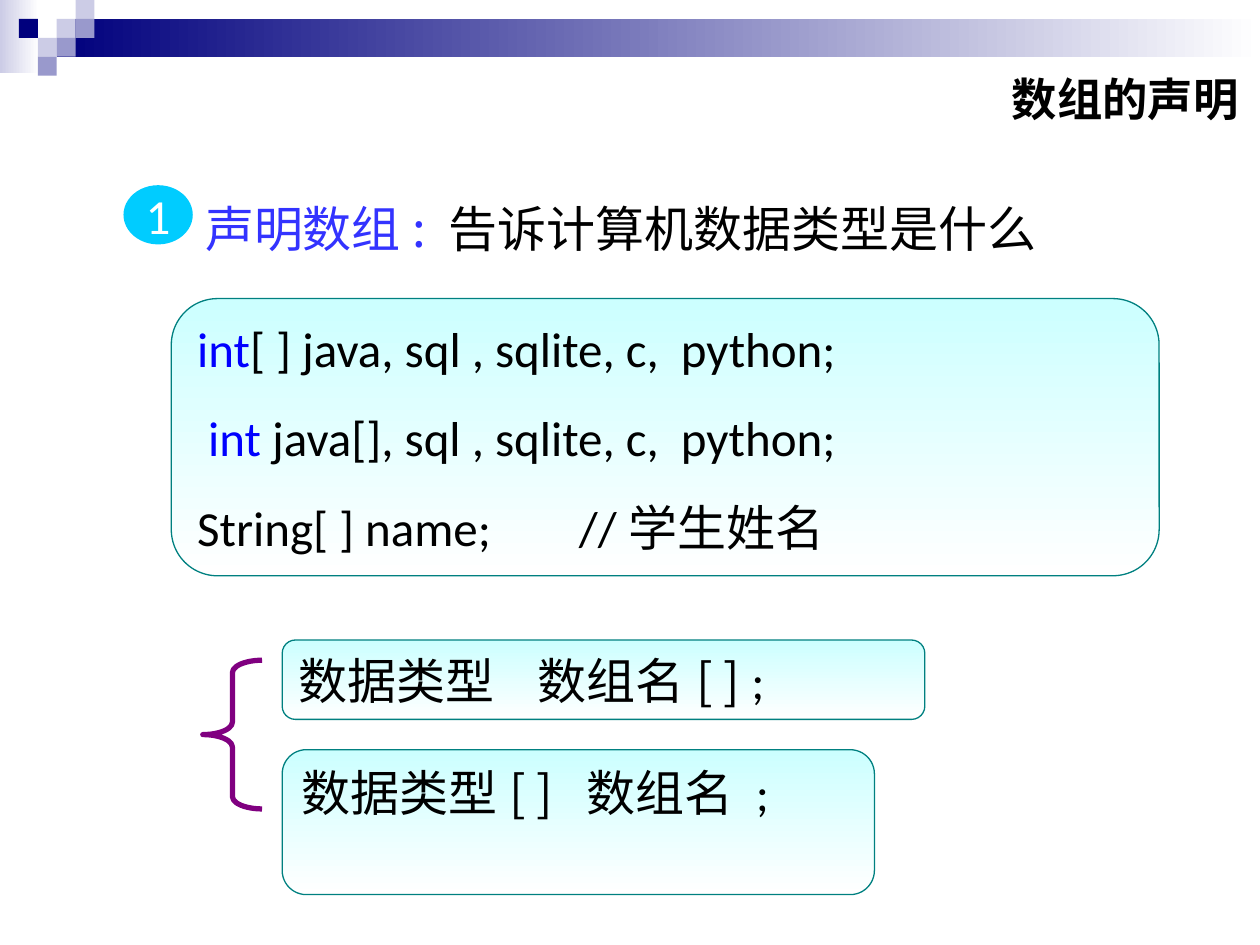
from lxml import etree
from pptx import Presentation
from pptx.dml.color import RGBColor
from pptx.enum.shapes import MSO_SHAPE
from pptx.enum.text import MSO_ANCHOR, MSO_AUTO_SIZE, PP_ALIGN
from pptx.oxml.ns import qn
from pptx.util import Inches, Pt

RECTANGLE = MSO_SHAPE.RECTANGLE
ROUNDED = MSO_SHAPE.ROUNDED_RECTANGLE
OVAL = MSO_SHAPE.OVAL
LEFT_BRACE = MSO_SHAPE.LEFT_BRACE
TOP, MIDDLE = MSO_ANCHOR.TOP, MSO_ANCHOR.MIDDLE
LEFT, CENTER, RIGHT = PP_ALIGN.LEFT, PP_ALIGN.CENTER, PP_ALIGN.RIGHT
JUSTIFY = PP_ALIGN.JUSTIFY
NO_AUTOFIT = MSO_AUTO_SIZE.NONE

LATIN = "Calibri"
CHINESE = "Noto Sans CJK SC"
COLORS = {
    "navy": "00007D", "lavender": "CCCCE6", "violet": "9999CC",
    "white": "FFFFFF", "black": "000000", "ice": "CCFFFF",
    "teal": "008080", "sky": "00CCFF", "purple": "800080",
    "keyword": "0000FF", "term": "3333FF",
}


def color(name):
    return RGBColor.from_string(COLORS[name])


def write_text(shape, paragraphs, size=28, bold=False, align=LEFT, anchor=TOP,
               space_before=0, line_spacing=None, hanging=0, tab=None, wrap=True):
    """Fill a shape with paragraphs, each a list of (text, font, color) runs."""
    frame = shape.text_frame
    frame.word_wrap = wrap
    frame.auto_size = NO_AUTOFIT
    frame.vertical_anchor = anchor
    for index, runs in enumerate(paragraphs):
        paragraph = frame.add_paragraph() if index else frame.paragraphs[0]
        paragraph.alignment = align
        paragraph.space_before = Pt(space_before if index else 0)
        if line_spacing:
            paragraph.line_spacing = line_spacing
        properties = paragraph._p.get_or_add_pPr()
        if hanging:
            properties.set("marL", str(Inches(hanging)))
            properties.set("indent", str(-Inches(hanging)))
        if tab:
            tabs = etree.SubElement(properties, qn("a:tabLst"))
            etree.SubElement(tabs, qn("a:tab"), pos=str(Inches(tab)), algn="l")
        for text, font_name, font_color in runs:
            run = paragraph.add_run()
            run.text = text
            run.font.name = font_name
            run.font.size = Pt(size)
            run.font.bold = bold
            run.font.color.rgb = color(font_color)
            etree.SubElement(run.font._element, qn("a:ea"), typeface=CHINESE)


class SlideBuilder:
    def __init__(self, slide):
        self.slide = slide

    def shape(self, kind, left, top, width, height, fill=None, line=None, line_width=0.75):
        shape = self.slide.shapes.add_shape(
            kind, Inches(left), Inches(top), Inches(width), Inches(height))
        shape.shadow.inherit = False
        if fill:
            shape.fill.solid()
            shape.fill.fore_color.rgb = color(fill)
        else:
            shape.fill.background()
        if line:
            shape.line.color.rgb = color(line)
            shape.line.width = Pt(line_width)
        else:
            shape.line.fill.background()
        return shape

    def gradient(self, kind, left, top, width, height, start, angle=0, line=None):
        """Add a shape that fades from the start color to white."""
        shape = self.shape(kind, left, top, width, height, line=line)
        shape.fill.gradient()
        shape.fill.gradient_angle = angle
        for stop, name in zip(shape.fill.gradient_stops, (start, "white")):
            stop.color.rgb = color(name)
        return shape

    def code_box(self, left, top, width, height, paragraphs, tab):
        box = self.gradient(ROUNDED, left, top, width, height, "ice", 270, "teal")
        write_text(box, paragraphs, space_before=17.5, tab=tab)

    def text_box(self, left, top, width, height, paragraphs, **text_format):
        box = self.slide.shapes.add_textbox(
            Inches(left), Inches(top), Inches(width), Inches(height))
        write_text(box, paragraphs, **text_format)

    def title(self, left, top, width, height, text):
        title = self.slide.shapes.title
        title.left, title.top = Inches(left), Inches(top)
        title.width, title.height = Inches(width), Inches(height)
        write_text(title, [[(text, CHINESE, "black")]], size=25.9, bold=True,
                   align=RIGHT, anchor=MIDDLE, line_spacing=0.9)

    def header_band(self):
        unit = 0.15
        self.gradient(RECTANGLE, 0, 0, 0.31, 0.58, "lavender")
        self.gradient(RECTANGLE, 3 * unit, unit, 9.55, 2 * unit, "navy")
        squares = [(3, 1, "lavender"), (4, 0, "lavender"), (4, 1, "violet"),
                   (2, 2, "lavender"), (1, 1, "navy"), (3, 2, "violet"), (2, 3, "violet")]
        for column, row, fill in squares:
            self.shape(RECTANGLE, column * unit, row * unit, unit, unit, fill)


def main():
    presentation = Presentation()
    presentation.slide_width, presentation.slide_height = Inches(10), Inches(7.5)
    builder = SlideBuilder(presentation.slides.add_slide(presentation.slide_layouts[5]))

    builder.header_band()
    builder.title(4.8, 0.53, 5.13, 0.55, "数组的声明")

    builder.text_box(1.53, 1.36, 7.56, 0.73,
                     [[("声明数组: ", CHINESE, "term"),
                       ("告诉计算机数据类型是什么", CHINESE, "black")]],
                     align=JUSTIFY, line_spacing=1.35, hanging=0.4)
    badge = builder.shape(OVAL, 0.98, 1.47, 0.55, 0.47, "sky")
    write_text(badge, [[("1", LATIN, "white")]], align=CENTER, anchor=MIDDLE, wrap=False)

    builder.code_box(1.36, 2.37, 7.84, 2.2, [
        [("int", LATIN, "keyword"),
         ("[ ] java, sql , sqlite, c,  python;", LATIN, "black")],
        [(" int", LATIN, "keyword"),
         (" java[], sql , sqlite, c,  python;", LATIN, "black")],
        [("String[ ] name;\t//学生姓名", LATIN, "black")],
    ], tab=3.03)

    syntax_boxes = [
        (5.08, 5.1, 0.63, "数据类型\t数组名[ ] ", 1.9),
        (5.95, 4.7, 1.15, "数据类型[ ]\t数组名 ", 2.26),
    ]
    for top, width, height, syntax, tab in syntax_boxes:
        builder.code_box(2.24, top, width, height,
                         [[(syntax, CHINESE, "black"), (";", LATIN, "black")]], tab)

    brace = builder.shape(LEFT_BRACE, 1.61, 5.24, 0.47, 1.18, line="purple", line_width=3)
    brace.adjustments[0] = 0.21

    presentation.save("out.pptx")


if __name__ == "__main__":
    main()
